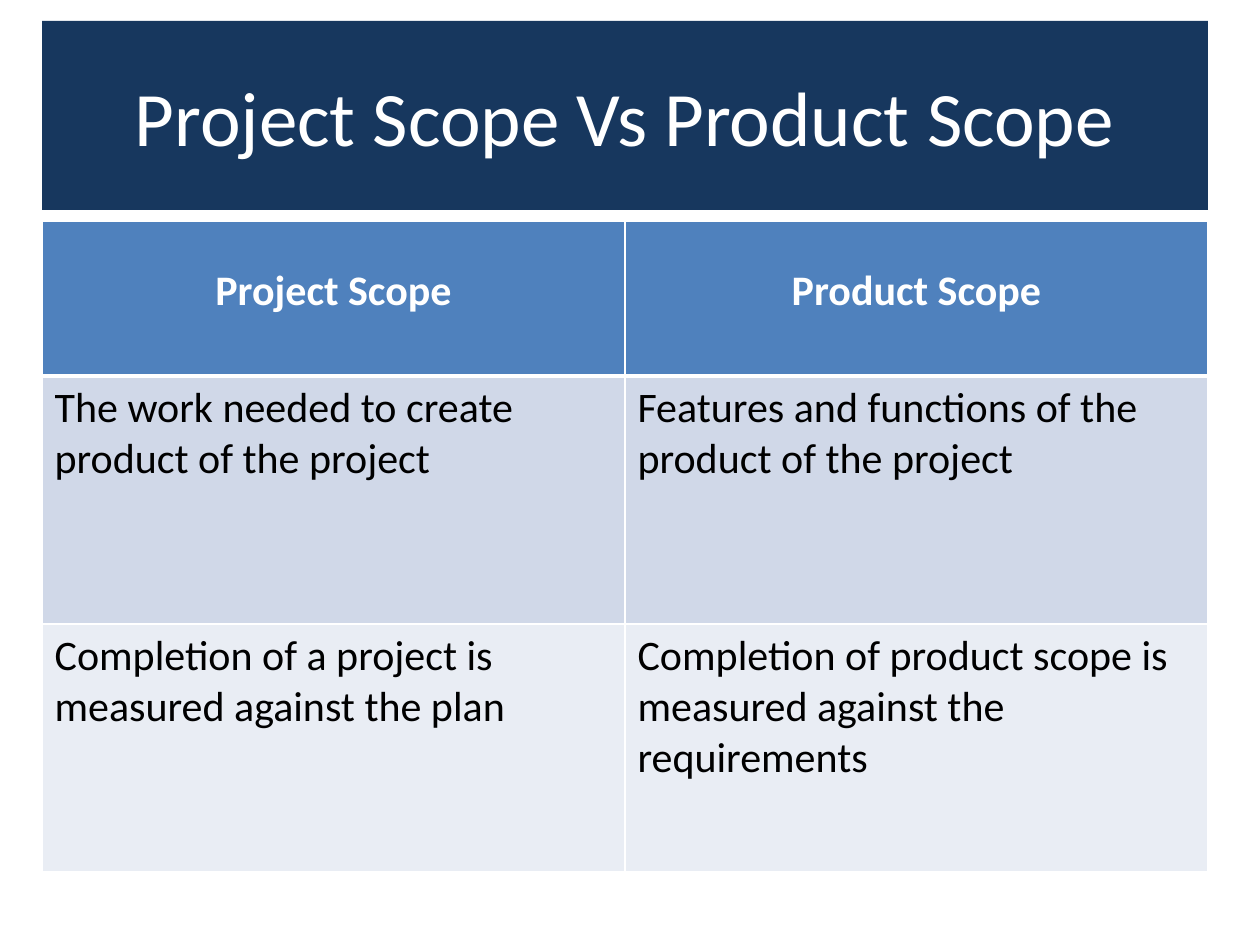
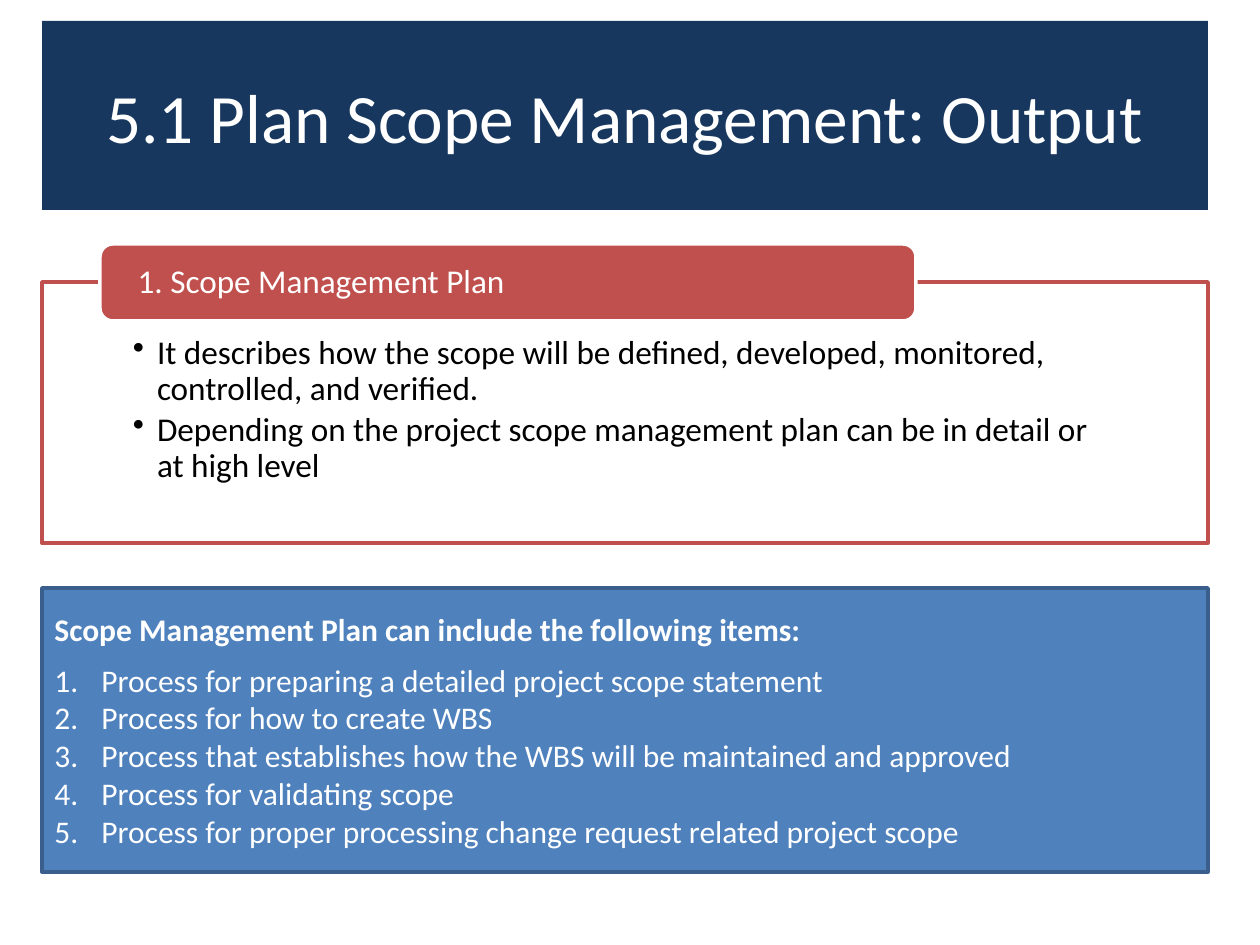
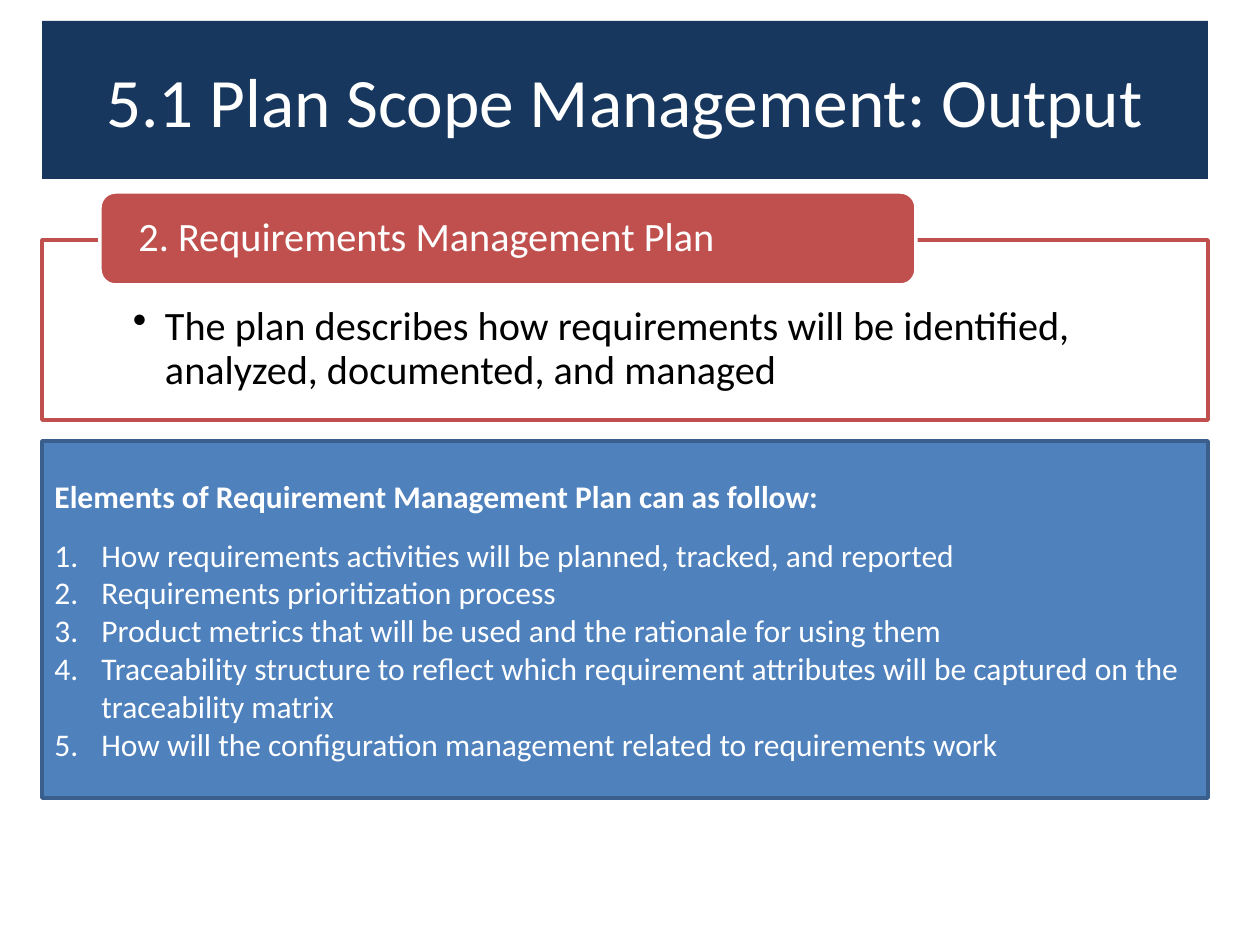
from dataclasses import dataclass

from lxml import etree
from pptx import Presentation
from pptx.dml.color import RGBColor
from pptx.enum.shapes import MSO_SHAPE
from pptx.enum.text import MSO_ANCHOR, MSO_AUTO_SIZE, PP_ALIGN
from pptx.oxml.ns import qn
from pptx.util import Emu, Pt

RECTANGLE, ROUNDED = MSO_SHAPE.RECTANGLE, MSO_SHAPE.ROUNDED_RECTANGLE
TOP, MIDDLE = MSO_ANCHOR.TOP, MSO_ANCHOR.MIDDLE
LEFT, CENTER = PP_ALIGN.LEFT, PP_ALIGN.CENTER
TITLE_ONLY = 5
PX = 914400 / 126


@dataclass(frozen=True)
class Theme:
    font: str = "Calibri"
    navy: str = "17375E"
    blue: str = "4F81BD"
    blue_edge: str = "3A5F8C"
    red: str = "C0504D"
    white: str = "FFFFFF"
    black: str = "000000"
    bands: tuple = ("D0D8E8", "E9EDF4")
    title: float = 44
    long_title: float = 39.6
    table: int = 24
    items: int = 18


theme = Theme()
margin, content_width = 42, 1166


def format_para(para, size, color, bold=False, align=LEFT, bullet=None, indent=0):
    """Format a paragraph; bullet is (tag, attribute, value) with a hanging indent in px."""
    para.alignment = align
    for span in para.runs:
        span.font.name = theme.font
        span.font.size = Pt(size)
        span.font.bold = bold
        span.font.color.rgb = RGBColor.from_string(color)
    if bullet:
        tag, attribute, value = bullet
        properties = para._p.get_or_add_pPr()
        properties.set("marL", str(round(indent * PX)))
        properties.set("indent", str(round(-indent * PX)))
        etree.SubElement(properties, qn(tag)).set(attribute, value)


def add_box(page, kind, bounds, fill, line, anchor=MIDDLE):
    box = page.shapes.add_shape(kind, *(Emu(round(n * PX)) for n in bounds))
    box.shadow.inherit = False
    box.fill.solid()
    box.fill.fore_color.rgb = RGBColor.from_string(fill)
    box.line.color.rgb = RGBColor.from_string(line)
    box.line.width = Pt(2)
    box.text_frame.word_wrap = True
    box.text_frame.vertical_anchor = anchor
    return box


deck = Presentation()
deck.slide_width, deck.slide_height = Emu(round(1260 * PX)), Emu(round(945 * PX))

# Title bands
pages = []
for text, size, height in (
    ("Project Scope Vs Product Scope", theme.title, 189),
    ("5.1 Plan Scope Management: Output", theme.long_title, 189),
    ("5.1 Plan Scope Management: Output", theme.long_title, 158),
):
    page = deck.slides.add_slide(deck.slide_layouts[TITLE_ONLY])
    title = page.shapes.title
    title.left, title.top, title.width, title.height = (
        Emu(round(n * PX)) for n in (margin, 21, content_width, height))
    title.fill.solid()
    title.fill.fore_color.rgb = RGBColor.from_string(theme.navy)
    title.text_frame.text = text
    title.text_frame.auto_size = MSO_AUTO_SIZE.NONE
    title.text_frame.vertical_anchor = MIDDLE
    format_para(title.text_frame.paragraphs[0], size, theme.white, align=CENTER)
    pages.append(page)

# Comparison table
comparison = (
    ("Project Scope", "Product Scope"),
    ("The work needed to create product of the project",
     "Features and functions of the product of the project"),
    ("Completion of a project is measured against the plan",
     "Completion of product scope is measured against the requirements"),
)
row_heights = (155, 248, 248)
table = pages[0].shapes.add_table(
    len(comparison), 2,
    *(Emu(round(n * PX)) for n in (margin, 221, content_width, sum(row_heights)))).table
for row_index, (texts, height) in enumerate(zip(comparison, row_heights)):
    table.rows[row_index].height = Emu(round(height * PX))
    header = row_index == 0
    edges = {"a:lnL": 1, "a:lnR": 1,
             "a:lnT": 3 if row_index == 1 else 1, "a:lnB": 3 if header else 1}
    for column_index, text in enumerate(texts):
        cell = table.cell(row_index, column_index)
        properties = cell._tc.get_or_add_tcPr()
        for tag, width in edges.items():
            edge = etree.SubElement(properties, qn(tag), w=str(Pt(width)))
            paint = etree.SubElement(edge, qn("a:solidFill"))
            etree.SubElement(paint, qn("a:srgbClr"), val=theme.white)
        cell.fill.solid()
        cell.fill.fore_color.rgb = RGBColor.from_string(
            theme.blue if header else theme.bands[row_index - 1])
        cell.text_frame.text = text
        if header:
            cell.margin_top = Emu(round(45 * PX))
        format_para(cell.text_frame.paragraphs[0], theme.table,
                    theme.white if header else theme.black,
                    bold=header, align=CENTER if header else LEFT)

# Plan pages: outlined description, red label and blue list
plans = (
    dict(label="1. Scope Management Plan", size=19, indent=24,
         label_top=244, label_height=77, frame_top=282, frame_height=261, frame_inset=54,
         points=("It describes how the scope will be defined, developed, monitored, "
                 "controlled, and verified.",
                 "Depending on the project scope management plan can be in detail or "
                 "at high level"),
         list_top=588, list_height=284, heading_gap=7,
         heading="Scope Management Plan can include the following items:",
         items=("Process for preparing a detailed project scope statement",
                "Process for how to create WBS",
                "Process that establishes how the WBS will be maintained and approved",
                "Process for validating scope",
                "Process for proper processing change request related project scope")),
    dict(label="2. Requirements Management Plan", size=23, indent=32,
         label_top=192, label_height=93, frame_top=240, frame_height=180, frame_inset=66,
         points=("The plan describes how requirements will be identified, "
                 "analyzed, documented, and managed",),
         list_top=441, list_height=357, heading_gap=12,
         heading="Elements of Requirement Management Plan can as follow:",
         items=("How requirements activities will be planned, tracked, and reported",
                "Requirements prioritization process",
                "Product metrics that will be used and the rationale for using them",
                "Traceability structure to reflect which requirement attributes will be "
                "captured on the traceability matrix",
                "How will the configuration management related to requirements work")),
)
for page, plan in zip(pages[1:], plans):
    frame = add_box(page, RECTANGLE,
                    (margin, plan["frame_top"], content_width, plan["frame_height"]),
                    theme.white, theme.red, TOP).text_frame
    frame.margin_left = frame.margin_right = Emu(round(91 * PX))
    frame.margin_top = Emu(round(plan["frame_inset"] * PX))
    frame.text = "\n".join(plan["points"])
    for para in frame.paragraphs:
        para.line_spacing = 0.9
        para.space_after = Pt(3)
        format_para(para, plan["size"], theme.black,
                    bullet=("a:buChar", "char", "•"), indent=plan["indent"])

    label = add_box(page, ROUNDED, (100, plan["label_top"], 816, plan["label_height"]),
                    theme.red, theme.white).text_frame
    label.margin_left = label.margin_right = Emu(round(34 * PX))
    label.text = plan["label"]
    label.paragraphs[0].line_spacing = 0.9
    format_para(label.paragraphs[0], plan["size"], theme.white)

    listing = add_box(page, RECTANGLE,
                      (margin, plan["list_top"], content_width, plan["list_height"]),
                      theme.blue, theme.blue_edge).text_frame
    listing.text = "\n".join((plan["heading"], *plan["items"]))
    heading, *items = listing.paragraphs
    heading.space_after = Pt(plan["heading_gap"])
    format_para(heading, theme.items, theme.white, bold=True)
    for para in items:
        format_para(para, theme.items, theme.white,
                    bullet=("a:buAutoNum", "type", "arabicPeriod"), indent=47)

deck.save("out.pptx")
